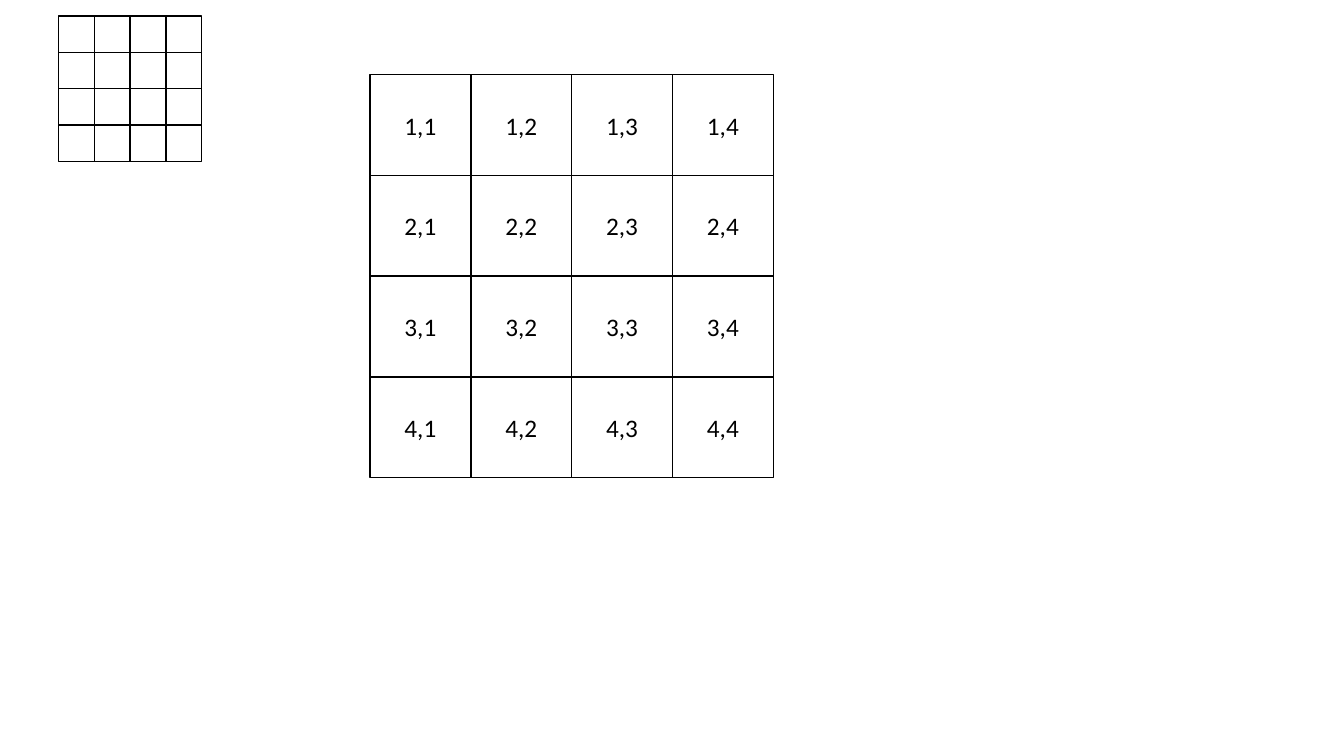
"""Build a slide with a small 4 by 4 grid and a large grid of numbered cells."""
from dataclasses import dataclass

from lxml import etree
from pptx import Presentation
from pptx.dml.color import RGBColor
from pptx.enum.shapes import MSO_CONNECTOR, MSO_SHAPE
from pptx.enum.text import MSO_ANCHOR, PP_ALIGN
from pptx.oxml.ns import qn
from pptx.shapes.autoshape import Shape
from pptx.shapes.connector import Connector
from pptx.shapes.shapetree import GroupShapes, SlideShapes
from pptx.util import Inches, Pt

RECTANGLE = MSO_SHAPE.RECTANGLE
STRAIGHT = MSO_CONNECTOR.STRAIGHT
CENTER = PP_ALIGN.CENTER
MIDDLE = MSO_ANCHOR.MIDDLE
TOP, LEFT, BOTTOM, RIGHT = range(4)

COLORS = {"ink": "000000"}
FONT = "Calibri"
COUNT = 4


@dataclass(frozen=True)
class Grid:
    """Position and size of a square grid, in inches."""

    left: float
    top: float
    width: float
    height: float

    def column_x(self, column: int) -> float:
        """Return the left edge of a column."""
        return self.left + column * self.width / COUNT

    def row_y(self, row: int) -> float:
        """Return the top edge of a row."""
        return self.top + row * self.height / COUNT


OVERVIEW = Grid(0.58, 0.16, 1.42, 1.44)
NUMBERED = Grid(3.67, 0.74, 4, 4)


def set_outline(item: Shape | Connector) -> None:
    """Give a shape or connector the thin grid line."""
    item.line.color.rgb = RGBColor.from_string(COLORS["ink"])
    item.line.width = Pt(1)


def add_box(shapes: SlideShapes | GroupShapes, left: float, top: float,
            width: float, height: float) -> Shape:
    """Add an unfilled outlined rectangle."""
    box = shapes.add_shape(RECTANGLE, Inches(left), Inches(top),
                           Inches(width), Inches(height))
    box.shadow.inherit = False
    box.fill.background()
    set_outline(box)
    return box


def add_divider(shapes: GroupShapes, start: tuple[float, float],
                end: tuple[float, float]) -> Connector:
    """Add a straight grid line without a shadow."""
    divider = shapes.add_connector(STRAIGHT, Inches(start[0]), Inches(start[1]),
                                   Inches(end[0]), Inches(end[1]))
    set_outline(divider)
    properties = divider.element.find(qn("p:spPr"))
    etree.SubElement(properties, qn("a:effectLst"))
    return divider


def add_overview(shapes: SlideShapes, grid: Grid) -> None:
    """Add a grouped frame split by evenly spaced dividers."""
    group = shapes.add_group_shape().shapes
    frame = add_box(group, grid.left, grid.top, grid.width, grid.height)
    right, bottom = grid.left + grid.width, grid.top + grid.height
    for index in range(1, COUNT):
        x, y = grid.column_x(index), grid.row_y(index)
        vertical = add_divider(group, (x, grid.top), (x, bottom))
        horizontal = add_divider(group, (grid.left, y), (right, y))
        if 2 * index == COUNT:
            vertical.begin_connect(frame, TOP)
            vertical.end_connect(frame, BOTTOM)
            horizontal.begin_connect(frame, LEFT)
            horizontal.end_connect(frame, RIGHT)


def add_numbered_cells(shapes: SlideShapes, grid: Grid) -> None:
    """Add cells labelled with their row and column."""
    for row in range(COUNT):
        for column in range(COUNT):
            cell = add_box(shapes, grid.column_x(column), grid.row_y(row),
                           grid.width / COUNT, grid.height / COUNT)
            cell.text_frame.vertical_anchor = MIDDLE
            label = cell.text_frame.paragraphs[0]
            label.text = f"{row + 1},{column + 1}"
            label.alignment = CENTER
            label.font.name = FONT
            label.font.size = Pt(18)
            label.font.color.rgb = RGBColor.from_string(COLORS["ink"])


def main() -> None:
    """Create and save the presentation."""
    presentation = Presentation()
    presentation.slide_width = Inches(13.33)
    presentation.slide_height = Inches(7.5)
    slide = presentation.slides.add_slide(presentation.slide_layouts[6])
    add_overview(slide.shapes, OVERVIEW)
    add_numbered_cells(slide.shapes, NUMBERED)
    presentation.save("out.pptx")


if __name__ == "__main__":
    main()
